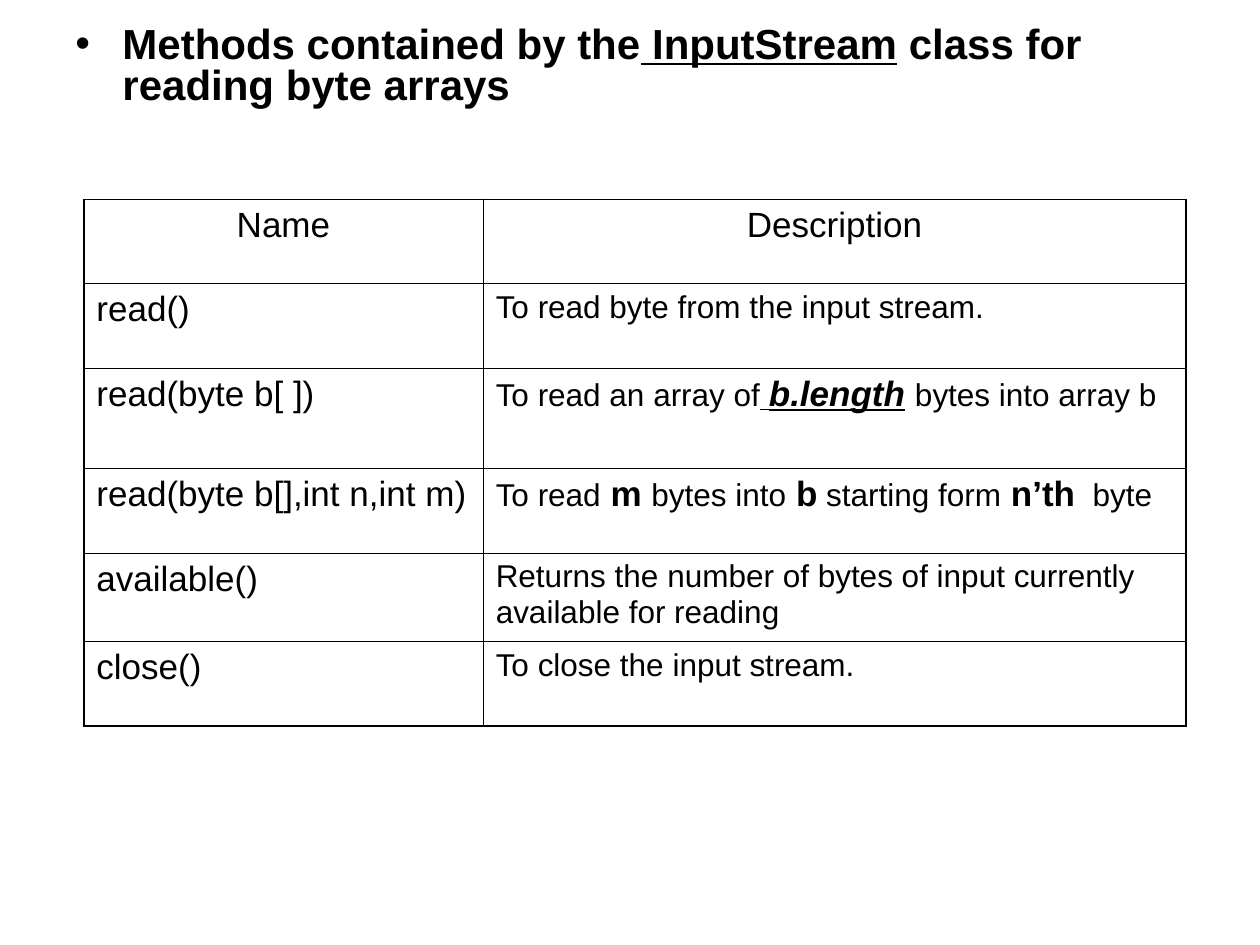
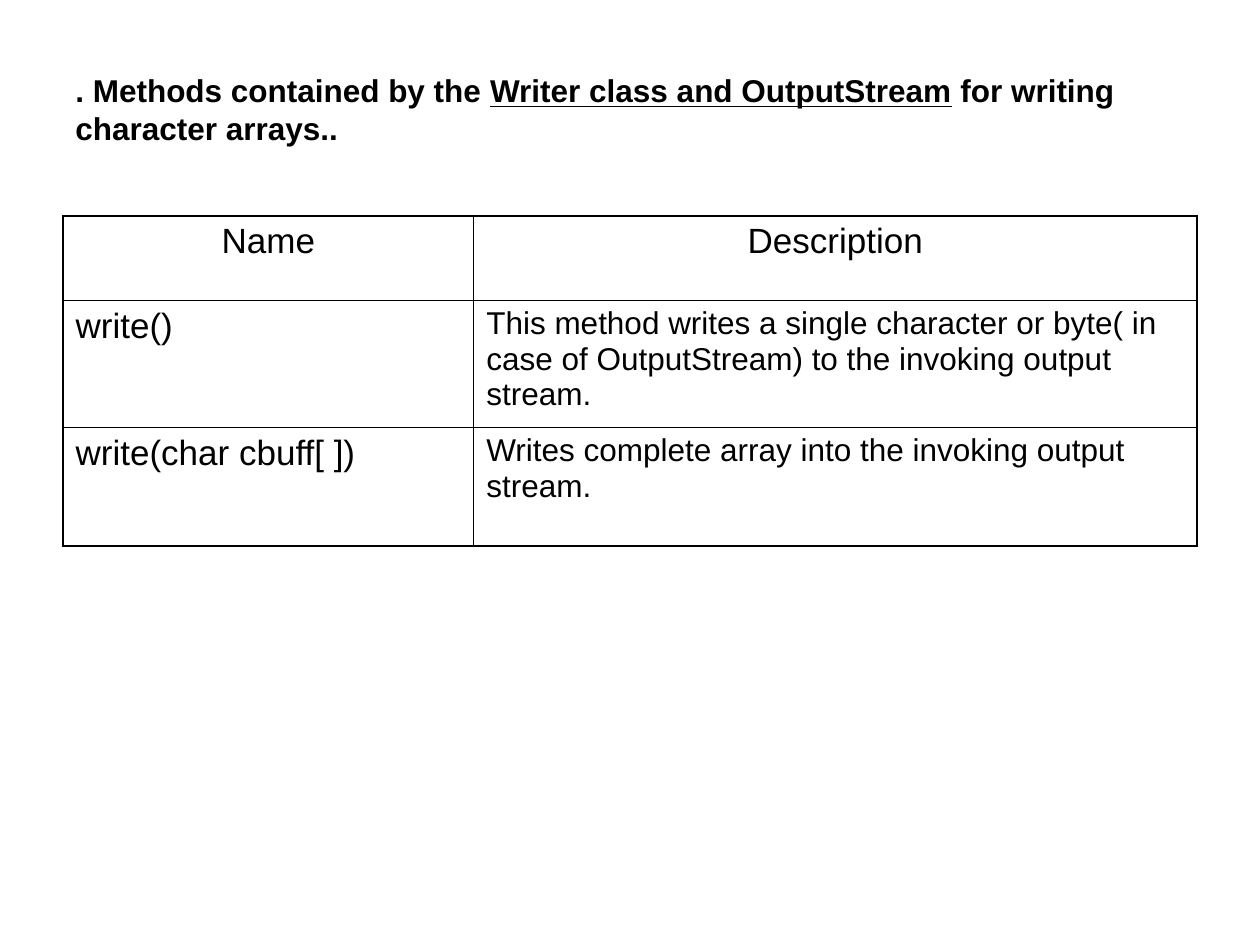
import pptx
import pptx.util
import pptx.dml.color
import pptx.enum.text
import pptx.oxml.ns
import lxml.etree

Cm, Pt = pptx.util.Cm, pptx.util.Pt
ALIGN = pptx.enum.text.PP_ALIGN

COLORS = {"text": "000000", "border": "000000", "background": "FFFFFF"}
FONT = "Arial"
NAME_SIZE, TEXT_SIZE = 20, 18
OUTER, INNER = 1.08, 0.45
HEADER = ("Name", "Description")

SLIDES = [
    {
        "title": [("Methods contained by the", "b"), (" InputStream", "bu"),
                  (" class for reading byte arrays", "b")],
        "title_box": (1.27, 0.43, 22.86, 1.91),
        "title_size": 24,
        "bullet": True,
        "table_at": (1.69, 4.02),
        "columns": (8.05, 14.17),
        "row_heights": (1.7, 1.7, 2.03, 1.7, 1.78, 1.7),
        "methods": [
            ("read()", "To read byte from the input stream."),
            ("read(byte b[ ])",
             [("To read an array of", ""), (" ", "iu"), ("b.length", "biu", NAME_SIZE),
              (" ", "b", NAME_SIZE), ("bytes into array b", "")]),
            ("read(byte b[],int n,int m)",
             [("To read", ""), (" m ", "b", NAME_SIZE), ("bytes into", ""),
              (" b", "b", NAME_SIZE), (" starting form", ""),
              (" n’th", "b", NAME_SIZE), ("  byte", "")]),
            ("available()",
             "Returns the number of bytes of input currently available for reading"),
            ("close()", "To close the input stream."),
        ],
    },
    {
        "title": [(". Methods contained by the ", "b"),
                  ("Writer class and OutputStream", "bu"),
                  (" for writing character arrays..", "b")],
        "title_box": (1.27, 1.44, 23.28, 2.11),
        "title_size": 18,
        "bullet": False,
        "table_at": (1.27, 4.35),
        "columns": (8.28, 14.58),
        "row_heights": (1.7, 2.56, 2.4),
        "methods": [
            ("write()",
             "This method writes a single character or byte( in case of OutputStream) "
             "to the invoking output stream."),
            ("write(char cbuff[ ])",
             "Writes complete array into the invoking output stream."),
        ],
    },
]


def add_runs(p, content, size):
    runs = [(content, "")] if isinstance(content, str) else content
    for text, style, *own_size in runs:
        r = p.add_run()
        r.text = text
        r.font.name = FONT
        r.font.size = Pt(own_size[0] if own_size else size)
        r.font.bold = "b" in style
        r.font.italic = "i" in style
        r.font.underline = "u" in style
        r.font.color.rgb = pptx.dml.color.RGBColor.from_string(COLORS["text"])


def sub(parent, tag, **attrs):
    return lxml.etree.SubElement(parent, pptx.oxml.ns.qn(tag), **attrs)


def add_title(slide, data):
    tf = slide.shapes.add_textbox(*map(Cm, data["title_box"])).text_frame
    tf.word_wrap = True
    p = tf.paragraphs[0]
    if data["bullet"]:
        p.line_spacing = 0.8
        pPr = p._p.get_or_add_pPr()
        pPr.set("marL", str(Cm(0.95)))
        pPr.set("indent", str(-Cm(0.95)))
        sub(sub(pPr, "a:buClr"), "a:srgbClr", val=COLORS["text"])
        sub(pPr, "a:buFont", typeface=FONT)
        sub(pPr, "a:buChar", char="•")
    else:
        tf.margin_top = 0
    add_runs(p, data["title"], data["title_size"])


def style_cell(cell, outer_sides):
    tcPr = cell._tc.get_or_add_tcPr()
    for side in "LRTB":
        width = OUTER if side in outer_sides else INNER
        ln = sub(tcPr, "a:ln" + side, w=str(Pt(width)))
        sub(sub(ln, "a:solidFill"), "a:srgbClr", val=COLORS["border"])
    cell.fill.background()


def add_methods_table(slide, data):
    rows = [HEADER] + data["methods"]
    widths, heights = data["columns"], data["row_heights"]
    left, top = data["table_at"]
    table = slide.shapes.add_table(
        len(rows), len(widths), Cm(left), Cm(top),
        Cm(sum(widths)), Cm(sum(heights))).table
    table.first_row = table.horz_banding = False
    for column, width in zip(table.columns, widths):
        column.width = Cm(width)
    for i, (row, height) in enumerate(zip(rows, heights)):
        table.rows[i].height = Cm(height)
        for j, content in enumerate(row):
            cell = table.cell(i, j)
            outer = ("L" if j == 0 else "R") + "T" * (i == 0) + "B" * (i == len(rows) - 1)
            style_cell(cell, outer)
            p = cell.text_frame.paragraphs[0]
            p.alignment = ALIGN.CENTER if i == 0 else ALIGN.LEFT
            add_runs(p, content, NAME_SIZE if i == 0 or j == 0 else TEXT_SIZE)


def main():
    prs = pptx.Presentation()
    prs.slide_width, prs.slide_height = Cm(25.4), Cm(19.05)
    for data in SLIDES:
        slide = prs.slides.add_slide(prs.slide_layouts[6])
        fill = slide.background.fill
        fill.solid()
        fill.fore_color.rgb = pptx.dml.color.RGBColor.from_string(COLORS["background"])
        add_title(slide, data)
        add_methods_table(slide, data)
    prs.save("out.pptx")


if __name__ == "__main__":
    main()
